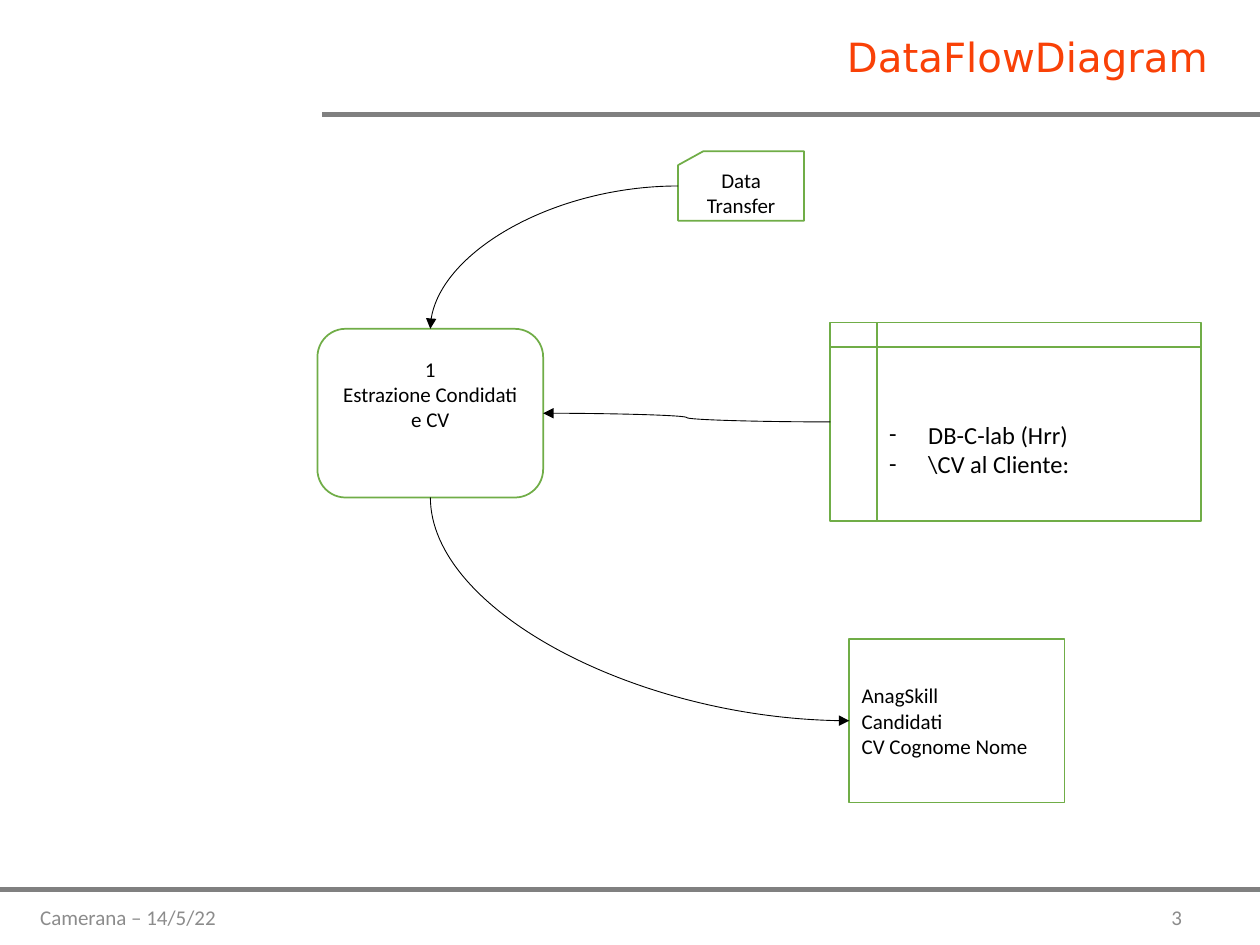
from dataclasses import dataclass

from lxml import etree
from pptx import Presentation
from pptx.dml.color import RGBColor
from pptx.enum.shapes import MSO_CONNECTOR, MSO_SHAPE
from pptx.enum.text import MSO_ANCHOR, PP_ALIGN
from pptx.oxml.ns import qn
from pptx.util import Cm, Pt

LEFT, CENTER, RIGHT = PP_ALIGN.LEFT, PP_ALIGN.CENTER, PP_ALIGN.RIGHT
TOP, MIDDLE = MSO_ANCHOR.TOP, MSO_ANCHOR.MIDDLE
STRAIGHT, CURVE = MSO_CONNECTOR.STRAIGHT, MSO_CONNECTOR.CURVE
PROCESS = MSO_SHAPE.FLOWCHART_ALTERNATE_PROCESS
ENTITY = MSO_SHAPE.FLOWCHART_PROCESS
STORAGE = MSO_SHAPE.FLOWCHART_INTERNAL_STORAGE
CARD = MSO_SHAPE.FLOWCHART_CARD
TOP_SIDE, LEFT_SIDE, BOTTOM_SIDE, RIGHT_SIDE = range(4)

BODY_FONT, TITLE_FONT = "Calibri", "DejaVu Sans"
BLACK, WHITE, GREEN = "000000", "FFFFFF", "70AD47"
ORANGE, RULE_GREY, FOOTER_GREY = "F94107", "808080", "8C8C8C"


@dataclass
class Label:
    lines: list[str]
    left: float
    top: float
    width: float
    height: float
    align: PP_ALIGN = LEFT
    size: int = 12
    font: str = BODY_FONT
    color: str = BLACK
    anchor: MSO_ANCHOR = MIDDLE
    inset_top: float = 0.13
    inset_bottom: float = 0.13
    bullet: str = ""


@dataclass
class Node:
    name: str
    kind: MSO_SHAPE
    label: Label


@dataclass
class Flow:
    source: str
    source_side: int
    target: str
    target_side: int
    geometry: str
    rotation: int
    flip: str = ""


RULES = [(6.5, 2.31), (0, 17.93)]

LABELS = [
    Label(["DataFlowDiagram"], 6.5, 0.53, 18.11, 1.8, RIGHT, 23, TITLE_FONT, ORANGE, TOP),
    Label(["3"], 18.36, 17.98, 5.72, 1.02, RIGHT, color=FOOTER_GREY),
    Label(["Camerana – 14/5/22"], 0.56, 17.98, 8.59, 1.02, color=FOOTER_GREY),
]

NODES = [
    Node("extraction", PROCESS, Label(["1", "Estrazione Condidati e CV"],
                                      6.4, 6.63, 4.55, 3.4, CENTER, inset_bottom=0.9)),
    Node("candidates", ENTITY, Label(["AnagSkill", "Candidati", "CV Cognome Nome"],
                                     17.12, 12.88, 4.34, 3.3)),
    Node("database", STORAGE, Label(["DB-C-lab (Hrr)", "\\CV al Cliente:"],
                                    16.74, 6.5, 7.47, 4.01, size=14, inset_top=0.73, bullet="-")),
    Node("transfer", CARD, Label(["Data Transfer"], 13.67, 3.05, 2.54, 1.4, CENTER)),
]

FLOWS = [
    Flow("extraction", BOTTOM_SIDE, "candidates", LEFT_SIDE, "curvedConnector2", 270, "flipH"),
    Flow("transfer", LEFT_SIDE, "extraction", TOP_SIDE, "curvedConnector2", 180, "flipV"),
    Flow("database", LEFT_SIDE, "extraction", RIGHT_SIDE, "curvedConnector3", 180),
]


def rgb(value: str) -> RGBColor:
    return RGBColor.from_string(value)


def add_bullet(para, symbol: str) -> None:
    properties = para._p.get_or_add_pPr()
    properties.set("marL", str(Cm(0.79)))
    properties.set("indent", str(-Cm(0.79)))
    marker_font = etree.Element(qn("a:buFont"), typeface=BODY_FONT)
    marker = etree.Element(qn("a:buChar"), char=symbol)
    properties.insert(0, marker_font)
    properties.insert(1, marker)


def write_label(box, label: Label) -> None:
    frame = box.text_frame
    frame.word_wrap = True
    frame.vertical_anchor = label.anchor
    frame.margin_top = Cm(label.inset_top)
    frame.margin_bottom = Cm(label.inset_bottom)
    frame.text = "\n".join(label.lines)
    for para in frame.paragraphs:
        para.alignment = label.align
        para.font.size = Pt(label.size)
        para.font.name = label.font
        para.font.color.rgb = rgb(label.color)
        if label.bullet:
            add_bullet(para, label.bullet)


def bounds(label: Label) -> tuple[Cm, Cm, Cm, Cm]:
    return Cm(label.left), Cm(label.top), Cm(label.width), Cm(label.height)


def add_label(page, label: Label) -> None:
    write_label(page.shapes.add_textbox(*bounds(label)), label)


def add_node(page, node: Node):
    box = page.shapes.add_shape(node.kind, *bounds(node.label))
    box.shadow.inherit = False
    box.fill.solid()
    box.fill.fore_color.rgb = rgb(WHITE)
    box.line.color.rgb = rgb(GREEN)
    box.line.width = Pt(1)
    write_label(box, node.label)
    return box


def style_connector(connector, color: str, width: float) -> None:
    connector.line.color.rgb = rgb(color)
    connector.line.width = Pt(width)
    etree.SubElement(connector._element.spPr, qn("a:effectLst"))


def add_rule(page, left: float, top: float) -> None:
    rule = page.shapes.add_connector(STRAIGHT, Cm(left), Cm(top), Cm(25.4), Cm(top))
    style_connector(rule, RULE_GREY, 2.5)


def orient(connector, flow: Flow) -> None:
    properties = connector._element.spPr
    properties.find(qn("a:prstGeom")).set("prst", flow.geometry)
    if flow.rotation % 180:
        width, height = connector.width, connector.height
        connector.left += (width - height) // 2
        connector.top += (height - width) // 2
        connector.width, connector.height = height, width
    transform = properties.find(qn("a:xfrm"))
    for axis in ("flipH", "flipV"):
        transform.set(axis, "1" if axis == flow.flip else "0")
    transform.set("rot", str(flow.rotation * 60000))


def add_flow(page, flow: Flow, boxes: dict) -> None:
    connector = page.shapes.add_connector(CURVE, 0, 0, 0, 0)
    connector.begin_connect(boxes[flow.source], flow.source_side)
    connector.end_connect(boxes[flow.target], flow.target_side)
    orient(connector, flow)
    style_connector(connector, BLACK, 0.5)
    line = connector.line._get_or_add_ln()
    etree.SubElement(line, qn("a:tailEnd")).set("type", "triangle")


def main() -> None:
    deck = Presentation()
    deck.slide_width, deck.slide_height = Cm(25.4), Cm(19.05)
    page = deck.slides.add_slide(deck.slide_layouts[6])
    for left, top in RULES:
        add_rule(page, left, top)
    for label in LABELS:
        add_label(page, label)
    boxes = {node.name: add_node(page, node) for node in NODES}
    for flow in FLOWS:
        add_flow(page, flow, boxes)
    deck.save("out.pptx")


if __name__ == "__main__":
    main()
